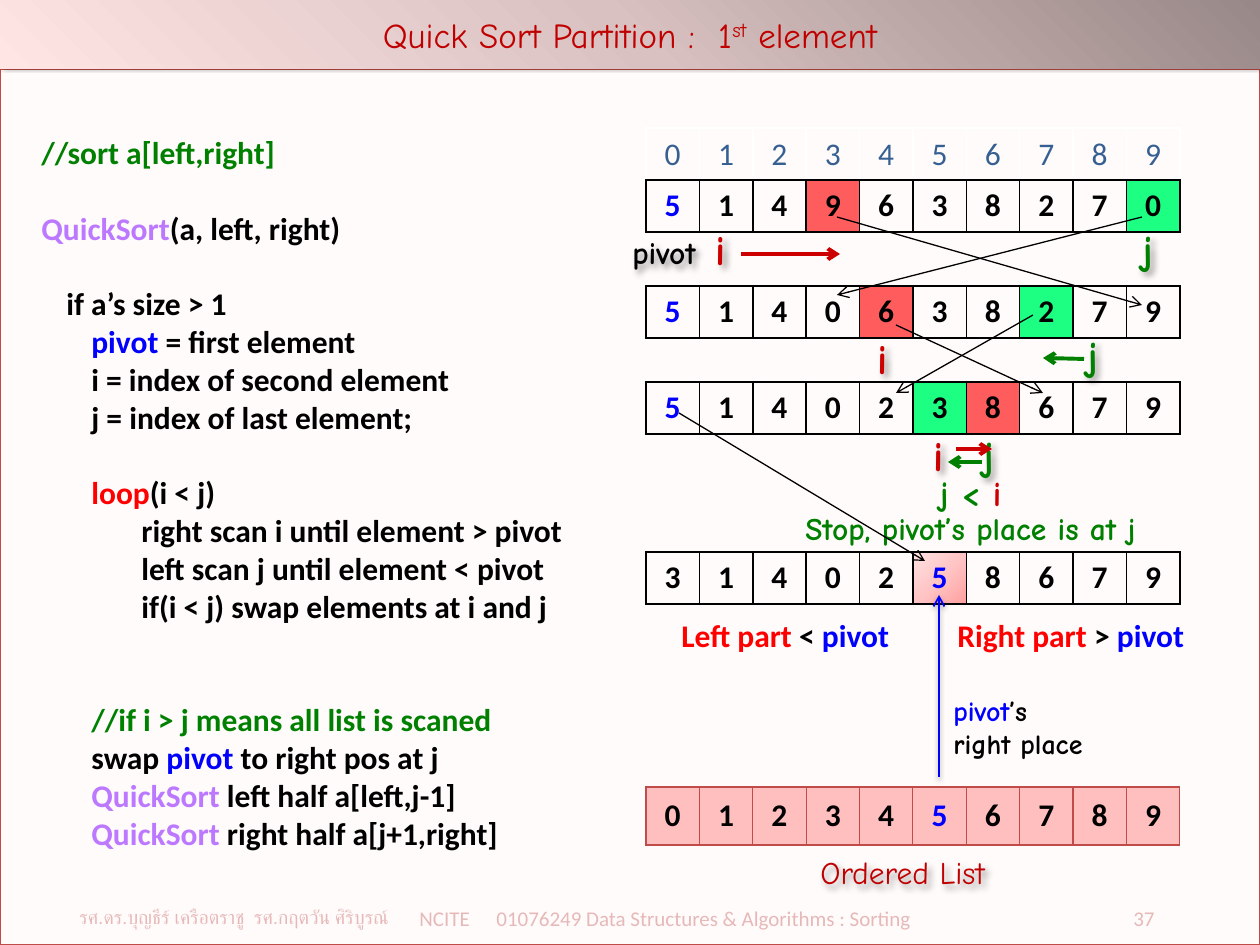
from lxml import etree
from pptx import Presentation
from pptx.dml.color import RGBColor
from pptx.enum.shapes import MSO_CONNECTOR, MSO_SHAPE
from pptx.enum.text import MSO_ANCHOR, PP_ALIGN
from pptx.oxml import parse_xml
from pptx.oxml.ns import nsdecls, qn
from pptx.util import Emu, Pt

LEFT, CENTER = PP_ALIGN.LEFT, PP_ALIGN.CENTER
TOP, MIDDLE, BOTTOM = MSO_ANCHOR.TOP, MSO_ANCHOR.MIDDLE, MSO_ANCHOR.BOTTOM
STRAIGHT, RECTANGLE = MSO_CONNECTOR.STRAIGHT, MSO_SHAPE.RECTANGLE

BLACK = RGBColor(0x00, 0x00, 0x00)
WHITE = RGBColor(0xFF, 0xFF, 0xFF)
PAPER = RGBColor(0xFF, 0xFB, 0xFB)
BRICK = RGBColor(0xBF, 0x4C, 0x48)
DARK_RED = RGBColor(0xC0, 0x00, 0x00)
MARK_RED = RGBColor(0xCC, 0x00, 0x00)
RED = RGBColor(0xFF, 0x00, 0x00)
GREEN = RGBColor(0x00, 0x80, 0x00)
BLUE = RGBColor(0x00, 0x00, 0xFF)
PURPLE = RGBColor(0xBC, 0x79, 0xFF)
INDEX_BLUE = RGBColor(0x37, 0x60, 0x92)
FOOTER_PINK = RGBColor(0xE6, 0xB9, 0xB8)
CELL_RED = RGBColor(0xFF, 0x5D, 0x5D)
CELL_GREEN = RGBColor(0x1D, 0xFF, 0x83)
CELL_PINK = RGBColor(0xFF, 0xBF, 0xBF)

PLAIN, COMIC, THAI = "Calibri", "Comic Neue", "Roboto"
SOFT_SHADOW = (38, 3.1, 1.6, 90)
TITLE_SHADOW = (40, 4, 3, 315)
TEXT_SHADOW = (40, 4, 3, 45)
TITLE_STOPS = ((0, "988887"), (50, "D8C1C0"), (100, "FFE6E5"))
PIVOT_STOPS = ((0, "FFA0A0"), (50, "FFC5C5"), (100, "FFE3E3"))
GRID_LEFT, GRID_WIDTH = 646, 534
CODE_LINE, CODE_INDENT = 21.6, 25

# Blank lines above, indent level, coloured pieces
CODE = [
    (0, 0, [("//sort a[left,right]", GREEN)]),
    (1, 0, [("QuickSort", PURPLE), ("(a, left, right)", BLACK)]),
    (1, 1, [("if a’s size > 1", BLACK)]),
    (0, 2, [("pivot", BLUE), (" = first element", BLACK)]),
    (0, 2, [("i = index of second element", BLACK)]),
    (0, 2, [("j = index of last element;", BLACK)]),
    (1, 2, [("loop", RED), ("(i < j)", BLACK)]),
    (0, 4, [("right scan i until element > pivot", BLACK)]),
    (0, 4, [("left scan j until element < pivot", BLACK)]),
    (0, 4, [("if(i < j) swap elements at i and j", BLACK)]),
    (2, 2, [("//if i > j means all list is scaned", GREEN)]),
    (0, 2, [("swap ", BLACK), ("pivot", BLUE), (" to right pos at j", BLACK)]),
    (0, 2, [("QuickSort ", PURPLE), ("left half a[left,j-1]", BLACK)]),
    (0, 2, [("QuickSort", PURPLE), (" right half a[j+1,right]", BLACK)]),
]
MARKS = [("i", 711, 217), ("j", 1138, 217), ("i", 868, 326), ("j", 1078, 323),
         ("i", 924, 423), ("j", 974, 423)]
SWAPS = [(1142, 217, 837, 295), (837, 217, 1142, 305), (1033, 315, 896, 393),
         (896, 325, 1043, 393), (679, 413, 925, 561)]
SCANS = [(741, 254, 840, 254, MARK_RED), (1084, 359, 1043, 358, GREEN),
         (956, 449, 992, 449, MARK_RED), (982, 462, 948, 462, GREEN)]


def px(length):
    return Emu(length * 914400 // 126)


def set_shadow(shape, shadow=None):
    """Replace the inherited shadow with (opacity %, blur pt, distance pt, angle), or none."""
    effects = etree.SubElement(shape._element.spPr, qn("a:effectLst"))
    if shadow:
        opacity, blur, distance, angle = shadow
        outer = etree.SubElement(effects, qn("a:outerShdw"), blurRad=str(Pt(blur)),
                                 dist=str(Pt(distance)), dir=str(angle * 60000),
                                 rotWithShape="0")
        color = etree.SubElement(outer, qn("a:srgbClr"), val="000000")
        etree.SubElement(color, qn("a:alpha"), val=str(opacity * 1000))


def gradient(stops, direction):
    stop_list = "".join(f'<a:gs pos="{position * 1000}"><a:srgbClr val="{color}"/></a:gs>'
                        for position, color in stops)
    return parse_xml(f'<a:gradFill {nsdecls("a")}><a:gsLst>{stop_list}</a:gsLst>'
                     f'{direction}</a:gradFill>')


def write(paragraph, pieces, size, font=PLAIN, bold=True, align=LEFT):
    """Fill a paragraph with (text, colour) pieces in one font."""
    paragraph.alignment = align
    paragraph.font.name, paragraph.font.size, paragraph.font.bold = font, Pt(size), bold
    for text, color in pieces:
        run = paragraph.add_run()
        run.text = text
        run.font.color.rgb = color


def add_text(slide, left, top, width, height, lines, size, shadow=None, spacing=None, **style):
    """Add a text box with one paragraph per list of pieces."""
    box = slide.shapes.add_textbox(px(left), px(top), px(width), px(height))
    frame = box.text_frame
    frame.word_wrap = True
    for number, pieces in enumerate(lines):
        paragraph = frame.add_paragraph() if number else frame.paragraphs[0]
        write(paragraph, pieces, size, **style)
        paragraph.line_spacing = spacing
    if shadow:
        set_shadow(box, shadow)
    return box


def add_arrow(slide, x1, y1, x2, y2, color, width, shadow=None):
    arrow = slide.shapes.add_connector(STRAIGHT, px(x1), px(y1), px(x2), px(y2))
    arrow.line.color.rgb = color
    arrow.line.width = Pt(width)
    etree.SubElement(arrow._element.spPr.find(qn("a:ln")), qn("a:tailEnd"), type="arrow")
    set_shadow(arrow, shadow)


def set_borders(cell, colors, width):
    """Draw the left, right, top and bottom borders in the given colours."""
    properties = cell._tc.get_or_add_tcPr()
    for index, (side, color) in enumerate(zip("LRTB", colors)):
        properties.insert(index, parse_xml(
            f'<a:ln{side} {nsdecls("a")} w="{Pt(width)}"><a:solidFill>'
            f'<a:srgbClr val="{color}"/></a:solidFill></a:ln{side}>'))


def add_grid(slide, top, row_height, rows):
    """Add a table of digits, with one string per row, and return its table."""
    table = slide.shapes.add_table(len(rows), 10, px(GRID_LEFT), px(top), px(GRID_WIDTH),
                                   px(row_height * len(rows))).table
    table.first_row = table.horz_banding = False
    for column in table.columns:
        column.width = px(GRID_WIDTH) // 10
    return table


def fill_row(table, row, digits, pivot=None, fills=None, border=BLACK, border_width=1,
             color=BLACK, bold=True, anchor=TOP, base=None):
    for column, digit in enumerate(digits):
        cell = table.cell(row, column)
        cell.vertical_anchor = anchor
        write(cell.text_frame.paragraphs[0], [(digit, BLUE if column == pivot else color)],
              18, bold=bold, align=CENTER)
        fill = (fills or {}).get(column, base)
        if fill is None:
            cell.fill.background()
        else:
            cell.fill.solid()
            cell.fill.fore_color.rgb = fill
        bottom = BLACK if border == WHITE else border
        set_borders(cell, (border, border, border, bottom), border_width)


def add_frame_and_title(slide):
    frame = slide.shapes.add_shape(RECTANGLE, 0, px(69), px(1260), px(876))
    frame.fill.solid()
    frame.fill.fore_color.rgb = PAPER
    frame.line.color.rgb = BRICK
    frame.line.width = Pt(0.75)
    set_shadow(frame, SOFT_SHADOW)
    slide.shapes._spTree.insert(2, frame._element)

    title = slide.shapes.title
    title.left, title.top, title.width, title.height = 0, 0, px(1260), px(69)
    title.text_frame.vertical_anchor = MIDDLE
    paragraph = title.text_frame.paragraphs[0]
    write(paragraph, [(text, DARK_RED) for text in ("Quick Sort Partition :  1", "st", " element")],
          20, COMIC, False, CENTER)
    paragraph.runs[1].font._element.set("baseline", "30000")
    title._element.spPr.append(gradient(TITLE_STOPS, '<a:lin ang="8100000" scaled="0"/>'))
    set_shadow(title, TITLE_SHADOW)


def add_code(slide):
    box = add_text(slide, 29, 127, 552, 738, [pieces for _, _, pieces in CODE], 18,
                   spacing=Pt(CODE_LINE))
    for paragraph, (blanks, level, _) in zip(box.text_frame.paragraphs, CODE):
        paragraph.space_before = Pt(blanks * CODE_LINE)
        paragraph._p.get_or_add_pPr().set("marL", str(px(level * CODE_INDENT)))


def add_grids(slide):
    start = add_grid(slide, 128, 52, ["index", "values"])
    fill_row(start, 0, "0123456789", border=WHITE, color=INDEX_BLUE, bold=False, anchor=BOTTOM)
    fill_row(start, 1, "5149638270", 0, {3: CELL_RED, 9: CELL_GREEN})
    for top, digits, pivot, fills in (
            (286, "5140638279", 0, {4: CELL_RED, 7: CELL_GREEN}),
            (382, "5140238679", 0, {5: CELL_GREEN, 6: CELL_RED}),
            (552, "3140258679", 5, {})):
        table = add_grid(slide, top, 52, [digits])
        fill_row(table, 0, digits, pivot, fills)
    properties = table.cell(0, 5)._tc.tcPr
    properties.replace(properties.find(qn("a:noFill")), gradient(
        PIVOT_STOPS, '<a:path path="circle"><a:fillToRect l="100000" t="100000"/></a:path>'))
    ordered = add_grid(slide, 787, 58, ["ordered"])
    fill_row(ordered, 0, "0123456789", 5, border=BRICK, border_width=0.75, anchor=MIDDLE,
             base=CELL_PINK)


def add_labels(slide):
    add_text(slide, 620, 227, 129, 39, [[("pivot", BLACK)]], 18, TEXT_SHADOW, font=COMIC)
    for letter, left, top in MARKS:
        mark = add_text(slide, left, top, 20 if top == 217 else 29, 49,
                        [[(letter, MARK_RED if letter == "i" else GREEN)]], 24, TEXT_SHADOW,
                        font=COMIC, align=CENTER)
        mark.text_frame.margin_left = mark.text_frame.margin_right = 0
    stop = add_text(slide, 759, 474, 423, 79,
                    [[("j < ", GREEN), ("i", MARK_RED)], [("Stop, pivot’s place is at j", GREEN)]],
                    18, spacing=Pt(19), font=COMIC, align=CENTER)
    stop.text_frame.paragraphs[0].font.size = Pt(20)
    add_text(slide, 669, 610, 256, 50,
             [[("Left part ", RED), ("<", BLACK), (" pivot", BLUE)]], 18)
    add_text(slide, 945, 610, 276, 50,
             [[("Right part ", RED), ("> ", BLACK), ("pivot", BLUE)]], 18)
    add_text(slide, 941, 687, 186, 81,
             [[("pivot", BLUE), ("’s", BLACK)], [("right place", BLACK)]], 16, font=COMIC)
    add_text(slide, 808, 847, 246, 49, [[("Ordered List", DARK_RED)]], 18, TEXT_SHADOW,
             font=COMIC, bold=False)


def add_footer(slide):
    for left, width, text, size, font in (
            (67, 350, "รศ.ดร.บุญธีร์ เครือตราชู  รศ.กฤตวัน ศิริบูรณ์", 11, THAI),
            (407, 80, "NCITE", 12, PLAIN),
            (484, 460, "01076249 Data Structures & Algorithms : Sorting", 12, PLAIN),
            (1121, 60, "37", 12, PLAIN)):
        add_text(slide, left, 899, width, 44, [[(text, FOOTER_PINK)]], size, font=font, bold=False)


def main():
    presentation = Presentation()
    presentation.slide_width, presentation.slide_height = px(1260), px(945)
    slide = presentation.slides.add_slide(presentation.slide_layouts[5])
    add_frame_and_title(slide)
    add_footer(slide)
    add_code(slide)
    add_grids(slide)
    add_labels(slide)
    for ends in SWAPS:
        add_arrow(slide, *ends, BLACK, 0.75)
    for *ends, color in SCANS:
        add_arrow(slide, *ends, color, 2.25)
    add_arrow(slide, 939, 777, 939, 595, BLUE, 1, SOFT_SHADOW)
    presentation.save("out.pptx")


if __name__ == "__main__":
    main()
